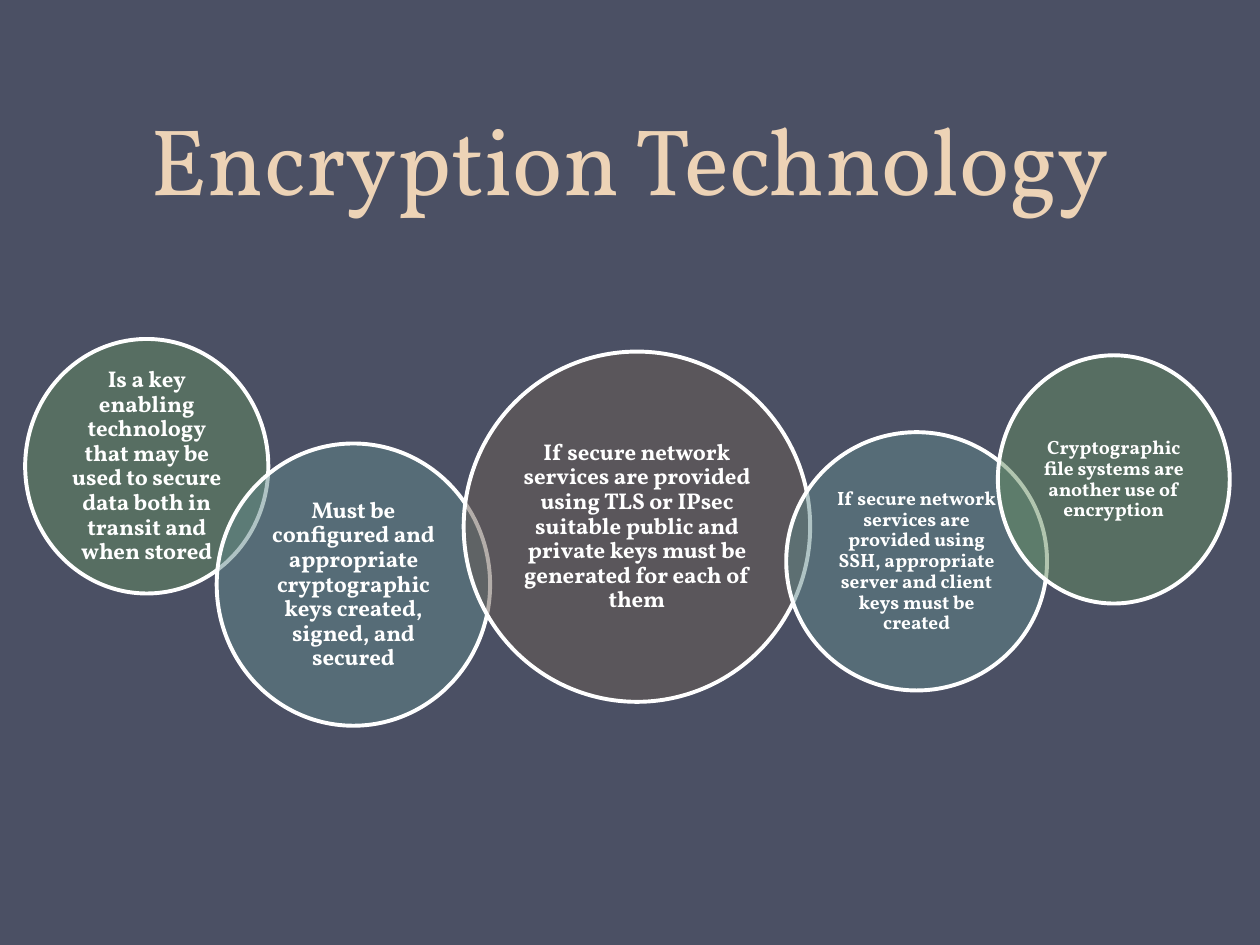
"""Build the Encryption Technology slide with its chain of overlapping circles."""
from lxml import etree
from pptx import Presentation
from pptx.dml.color import RGBColor
from pptx.enum.shapes import MSO_SHAPE
from pptx.enum.text import MSO_ANCHOR, PP_ALIGN
from pptx.oxml.ns import qn
from pptx.util import Inches, Pt

OVAL = MSO_SHAPE.OVAL
CENTER = PP_ALIGN.CENTER
MIDDLE, BOTTOM = MSO_ANCHOR.MIDDLE, MSO_ANCHOR.BOTTOM

FONT = "Vollkorn"
COLORS = {
    "background": "4B5064",
    "title": "EDD3B6",
    "white": "FFFFFF",
    "green": "648C61",
    "teal": "61898A",
    "brown": "695C54",
}
POINTS = [
    ((0.2, 2.69, 1.93, 2.02), "green", 13,
     "Is a key enabling technology that may be used to secure data both in "
     "transit and when stored"),
    ((1.72, 3.52, 2.17, 2.24), "teal", 13,
     "Must be configured and appropriate cryptographic keys created, signed, "
     "and secured"),
    ((3.68, 2.79, 2.75, 2.78), "brown", 13,
     "If secure network services are provided using TLS or IPsec suitable "
     "public and private keys must be generated for each of them"),
    ((6.24, 3.43, 2.07, 2.05), "teal", 11,
     "If secure network services are provided using SSH, appropriate server "
     "and client keys must be created"),
    ((7.92, 2.82, 1.84, 1.97), "green", 11,
     "Cryptographic file systems are another use of encryption"),
]


def rgb(name):
    """Return the named colour."""
    return RGBColor.from_string(COLORS[name])


def write(frame, text, size, color, anchor, spacing, bold=False):
    """Put one centred paragraph in a text frame."""
    frame.word_wrap = True
    frame.vertical_anchor = anchor
    frame.text = text
    paragraph = frame.paragraphs[0]
    paragraph.alignment = CENTER
    paragraph.line_spacing = spacing
    font = paragraph.runs[0].font
    font.name, font.size, font.bold = FONT, Pt(size), bold
    font.color.rgb = rgb(color)


def add_title(slide, text):
    """Add the slide heading."""
    heading = slide.shapes.add_textbox(
        Inches(0.5), Inches(0), Inches(9), Inches(1.75))
    write(heading.text_frame, text, 54, "title", BOTTOM, Pt(58))


def add_circle(slide, box, color, size, text):
    """Add a half-transparent, white-edged circle holding one point."""
    circle = slide.shapes.add_shape(OVAL, *map(Inches, box))
    circle.shadow.inherit = False
    circle.fill.solid()
    circle.fill.fore_color.rgb = rgb(color)
    fill_color = circle.fill._xPr.find(qn("a:solidFill"))[0]
    etree.SubElement(fill_color, qn("a:alpha")).set("val", "50000")
    circle.line.color.rgb = rgb("white")
    circle.line.width = Pt(2.25)
    frame = circle.text_frame
    frame.margin_left = frame.margin_right = Inches(0.07)
    frame.margin_top = frame.margin_bottom = Inches(0.02)
    write(frame, text, size, "white", MIDDLE, 0.9, bold=True)


def main():
    """Build and save the slide."""
    deck = Presentation()
    deck.slide_width, deck.slide_height = Inches(10), Inches(7.5)
    slide = deck.slides.add_slide(deck.slide_layouts[6])
    slide.background.fill.solid()
    slide.background.fill.fore_color.rgb = rgb("background")
    add_title(slide, "Encryption Technology")
    for point in POINTS:
        add_circle(slide, *point)
    deck.save("out.pptx")


if __name__ == "__main__":
    main()
